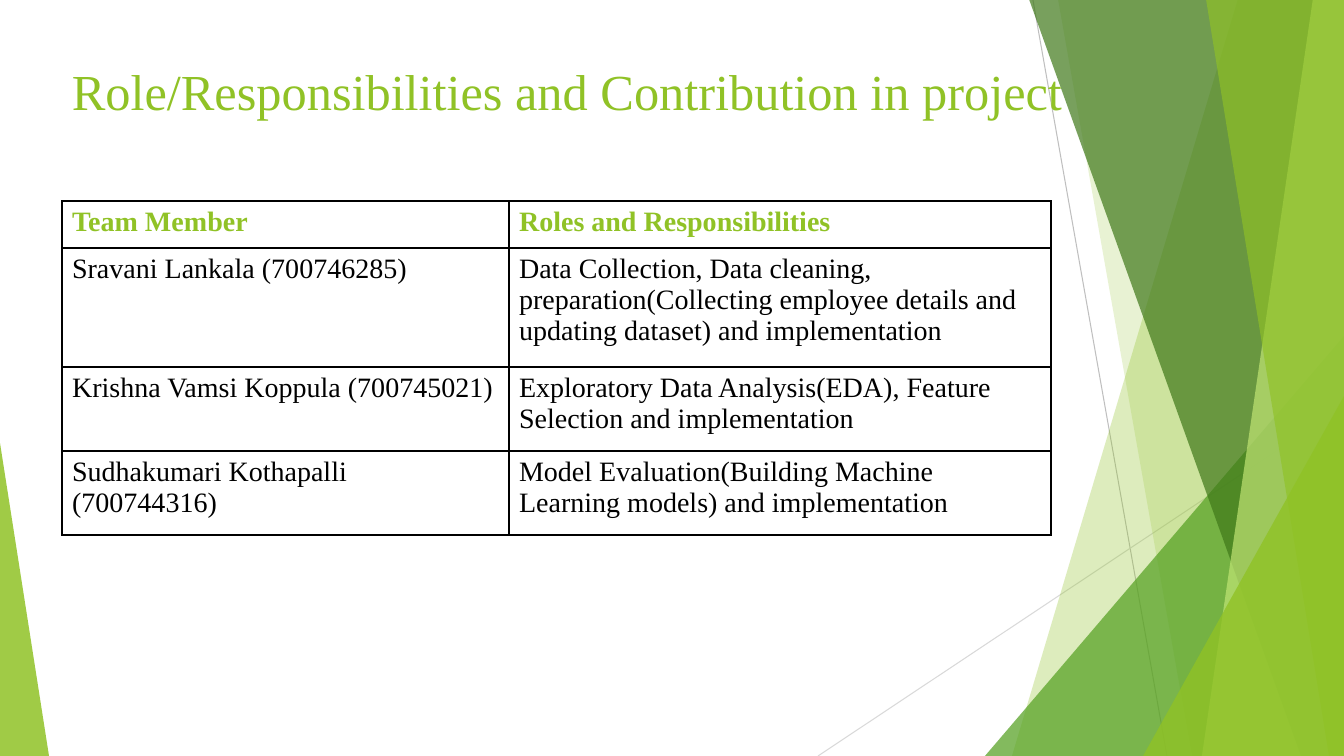
import pptx
import pptx.dml.color
import pptx.enum.shapes
import pptx.enum.text
import pptx.oxml.ns
import pptx.util
from lxml import etree

EMU_PER_PX = 914400 / 100.8
SLIDE_W, SLIDE_H = 1344, 756
FONT = "Times New Roman"
GREEN, BLACK = "90C226", "000000"

# Left-to-right bands: top x, bottom x, colour, opacity in percent
BANDS_BEHIND = [(1238, 1012, GREEN, 30), (1058, 1192, GREEN, 20)]
BANDS_FRONT = [
    (1029, 1301, "3F7819", 70),
    (1313, 1202, "C0E474", 70),
    (1206, 1329, GREEN, 65),
]

COLUMN_WIDTHS = [447, 542]
ROW_HEIGHTS = [47, 119, 84, 84]
TEAM_ROWS = [
    ("Team Member", "Roles and Responsibilities"),
    ("Sravani Lankala (700746285)",
     "Data Collection, Data cleaning, preparation(Collecting employee details "
     "and updating dataset) and implementation"),
    ("Krishna Vamsi Koppula (700745021)",
     "Exploratory Data Analysis(EDA), Feature Selection and implementation"),
    ("Sudhakumari Kothapalli (700744316)",
     "Model Evaluation(Building Machine Learning models) and implementation"),
]


def px(length):
    return pptx.util.Emu(round(length * EMU_PER_PX))


def color(hex_code):
    return pptx.dml.color.RGBColor.from_string(hex_code)


def sub(parent, tag, **attributes):
    return etree.SubElement(parent, pptx.oxml.ns.qn(tag), **attributes)


def paint(shape, hex_code, opacity):
    shape.shadow.inherit = False
    shape.line.fill.background()
    shape.fill.solid()
    shape.fill.fore_color.rgb = color(hex_code)
    srgb = shape.fill._xPr.find(".//" + pptx.oxml.ns.qn("a:srgbClr"))
    sub(srgb, "a:alpha", val=str(opacity * 1000))


def add_hairline(slide, start, end, hex_code):
    hairline = slide.shapes.add_connector(
        pptx.enum.shapes.MSO_CONNECTOR.STRAIGHT,
        px(start[0]), px(start[1]), px(end[0]), px(end[1]))
    hairline.line.color.rgb = color(hex_code)
    hairline.line.width = pptx.util.Pt(0.75)
    sub(hairline._element.spPr, "a:effectLst")


def add_band(slide, top_x, bottom_x, hex_code, opacity):
    """Fill from a slanted edge to the right side of the slide."""
    outline = slide.shapes.build_freeform(top_x, -1, scale=EMU_PER_PX)
    outline.add_line_segments(
        [(SLIDE_W, -1), (SLIDE_W, SLIDE_H), (bottom_x, SLIDE_H)], close=True)
    paint(outline.convert_to_shape(), hex_code, opacity)


def add_corner(slide, left, top, width, peak, hex_code, opacity):
    """Triangle standing on the bottom edge of the slide."""
    corner = slide.shapes.add_shape(
        pptx.enum.shapes.MSO_SHAPE.ISOSCELES_TRIANGLE,
        px(left), px(top), px(width), px(SLIDE_H - top))
    corner.adjustments[0] = peak
    paint(corner, hex_code, opacity)


def write(frame, words, size, hex_code, bold=False):
    run = frame.paragraphs[0].add_run()
    run.text = words
    run.font.name = FONT
    run.font.size = pptx.util.Pt(size)
    run.font.bold = bold
    run.font.color.rgb = color(hex_code)


def add_title(slide, words):
    title = slide.shapes.add_textbox(px(62), px(49), px(1131), px(107))
    frame = title.text_frame
    frame.word_wrap = True
    frame.vertical_anchor = pptx.enum.text.MSO_ANCHOR.TOP
    frame.margin_top = px(11)
    write(frame, words, 36, GREEN)


def add_borders(cell):
    properties = cell._tc.get_or_add_tcPr()
    for side in ("a:lnL", "a:lnR", "a:lnT", "a:lnB"):
        border = sub(properties, side, w=str(pptx.util.Pt(1)))
        sub(sub(border, "a:solidFill"), "a:srgbClr", val=BLACK)


def add_team_table(slide):
    team = slide.shapes.add_table(
        len(ROW_HEIGHTS), len(COLUMN_WIDTHS), px(62), px(201),
        px(sum(COLUMN_WIDTHS)), px(sum(ROW_HEIGHTS))).table
    team.horz_banding = False
    for column, width in zip(team.columns, COLUMN_WIDTHS):
        column.width = px(width)
    for row_index, (row, entries) in enumerate(zip(team.rows, TEAM_ROWS)):
        row.height = px(ROW_HEIGHTS[row_index])
        is_header = row_index == 0
        for cell, words in zip(row.cells, entries):
            add_borders(cell)
            cell.fill.background()
            write(cell.text_frame, words, 20,
                  GREEN if is_header else BLACK, bold=is_header)


def main():
    deck = pptx.Presentation()
    deck.slide_width, deck.slide_height = px(SLIDE_W), px(SLIDE_H)
    slide = deck.slides.add_slide(deck.slide_layouts[6])

    # Green facets, back to front
    add_hairline(slide, (1033, 0), (1167, SLIDE_H), "BFBFBF")
    add_hairline(slide, (SLIDE_W, 406), (818, SLIDE_H), "D9D9D9")
    for band in BANDS_BEHIND:
        add_band(slide, *band)
    add_corner(slide, 985, 336, 359, 1, "54A021", 72)
    for band in BANDS_FRONT:
        add_band(slide, *band)
    add_corner(slide, 1143, 396, 201, 1, GREEN, 80)
    add_corner(slide, 0, 443, 49, 0, GREEN, 85)

    # Title and team table
    add_title(slide, "Role/Responsibilities and Contribution in project")
    add_team_table(slide)

    deck.save("out.pptx")


if __name__ == "__main__":
    main()
